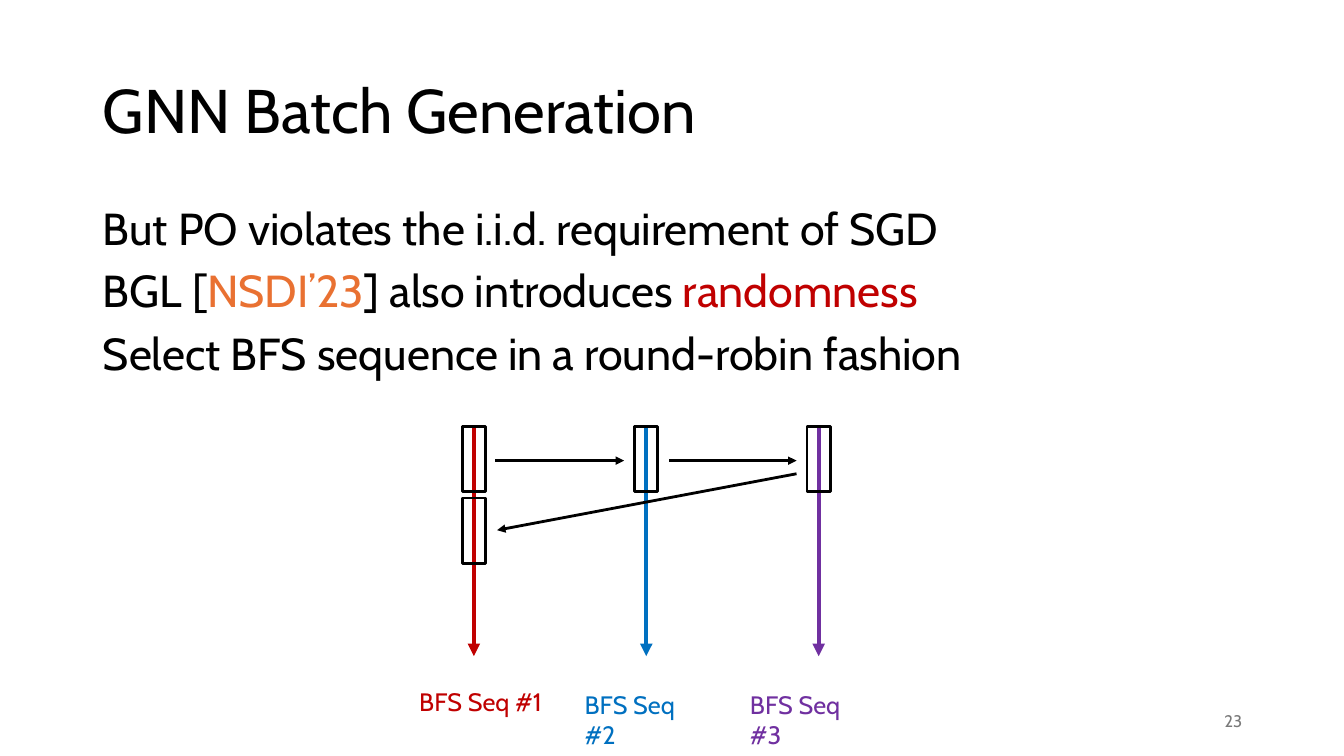
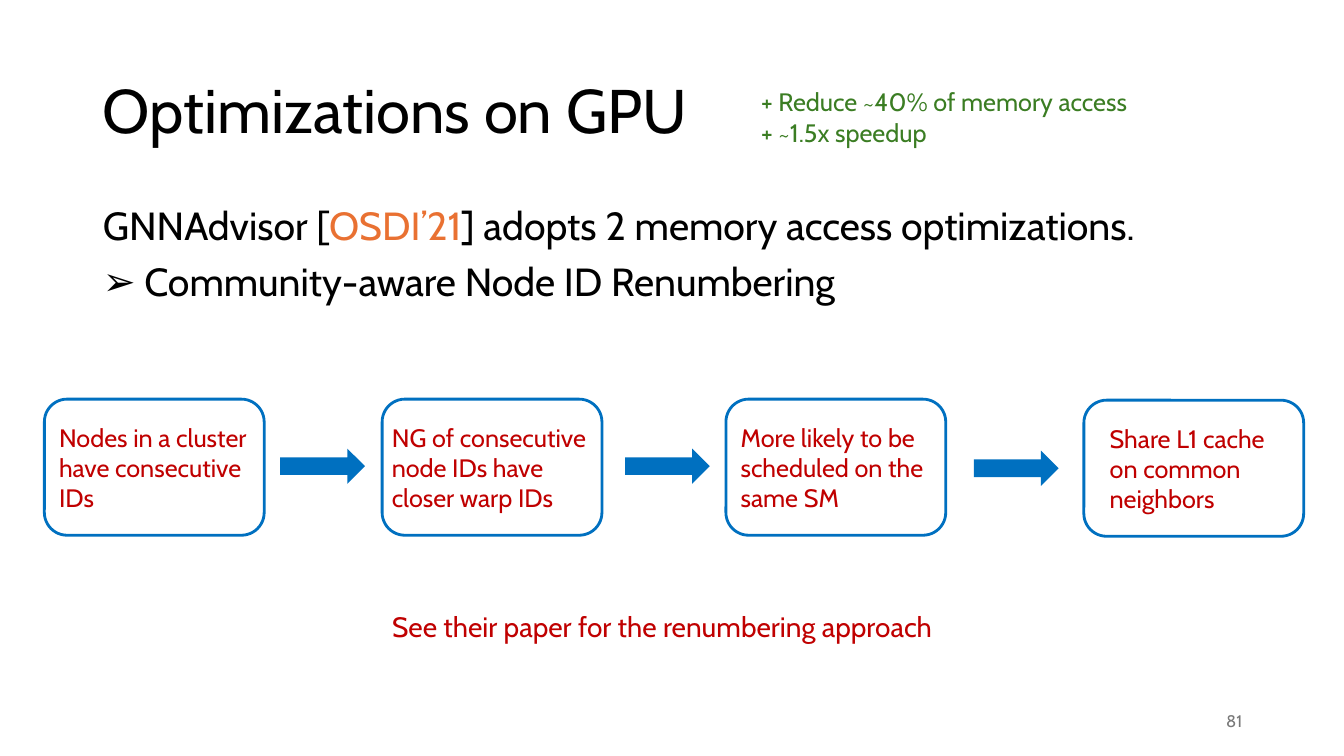
"""Two slides on GNN batch generation and GPU memory optimizations."""
from dataclasses import dataclass
from typing import Optional

from lxml.etree import SubElement
from pptx import Presentation
from pptx.dml.color import RGBColor
from pptx.enum.shapes import MSO_CONNECTOR, MSO_SHAPE
from pptx.enum.text import MSO_ANCHOR, MSO_AUTO_SIZE, PP_ALIGN
from pptx.oxml.ns import qn
from pptx.util import Inches, Pt


@dataclass(frozen=True)
class Theme:
    font: str = "Cabin"
    black: str = "000000"
    orange: str = "E97132"
    red: str = "C00000"
    blue: str = "0070C0"
    purple: str = "7030A0"
    green: str = "3B7D23"
    grey: str = "797979"
    title: int = 44
    body_large: int = 32
    body: int = 28
    note: int = 20
    label: int = 18
    number: int = 12


T = Theme()


@dataclass(frozen=True)
class Span:
    text: str
    color: str = T.black


@dataclass(frozen=True)
class Line:
    spans: tuple[Span, ...]
    bullet: Optional[str] = None


@dataclass(frozen=True)
class Sequence:
    name: str
    x: float
    color: str
    label_x: float
    label_y: float
    label_w: float


@dataclass(frozen=True)
class Step:
    text: str
    x: float
    y: float
    pad: float


SEQUENCES = (
    Sequence("BFS Seq #1", 4.7, T.red, 4.06, 6.76, 1.6),
    Sequence("BFS Seq #2", 6.41, T.blue, 5.7, 6.79, 1.3),
    Sequence("BFS Seq #3", 8.12, T.purple, 7.34, 6.79, 1.3),
)
STEPS = (
    Step("Nodes in a cluster have consecutive IDs", 0.44, 3.96, 0.08),
    Step("NG of consecutive node IDs have closer warp IDs", 3.79, 3.96, 0.03),
    Step("More likely to be\nscheduled on the\nsame SM", 7.2, 3.96, 0.08),
    Step("Share L1 cache\non common neighbors", 10.75, 3.97, 0.19),
)
STEP_ARROWS = ((2.78, 4.45), (6.2, 4.45), (9.66, 4.47))
FRAME_W, FRAME_H, FRAME_TOP, NEXT_TOP = 0.23, 0.65, 4.23, 4.94
STEP_W, STEP_H = 2.18, 1.35


def style_font(font, size: int, color: str) -> None:
    """Apply the theme font with a size and colour."""
    font.name = T.font
    font.size = Pt(size)
    font.color.rgb = RGBColor.from_string(color)


def write(tf, text: str, size: int, color: str) -> None:
    """Set left-aligned, wrapped text in one style."""
    tf.text = text
    tf.word_wrap = True
    for p in tf.paragraphs:
        p.alignment = PP_ALIGN.LEFT
        for r in p.runs:
            style_font(r.font, size, color)


def place(sp, x: float, y: float, w: float, h: float) -> None:
    """Move and size a shape."""
    sp.left, sp.top, sp.width, sp.height = map(Inches, (x, y, w, h))


def add_text(s, x: float, y: float, w: float, h: float, text: str, size: int, color: str):
    """Add a text box and return its frame."""
    tf = s.shapes.add_textbox(*map(Inches, (x, y, w, h))).text_frame
    write(tf, text, size, color)
    return tf


def add_box(s, kind, x: float, y: float, w: float, h: float,
            line: Optional[str] = None, fill: Optional[str] = None):
    """Add a flat preset shape with an optional outline and fill."""
    sp = s.shapes.add_shape(kind, *map(Inches, (x, y, w, h)))
    sp.shadow.inherit = False
    if fill:
        sp.fill.solid()
        sp.fill.fore_color.rgb = RGBColor.from_string(fill)
    else:
        sp.fill.background()
    if line:
        sp.line.color.rgb = RGBColor.from_string(line)
        sp.line.width = Pt(2)
    else:
        sp.line.fill.background()
    return sp


def add_arrow(s, x1: float, y1: float, x2: float, y2: float, color: str, width: float):
    """Add a straight connector with a triangular head."""
    cx = s.shapes.add_connector(MSO_CONNECTOR.STRAIGHT, *map(Inches, (x1, y1, x2, y2)))
    cx.line.color.rgb = RGBColor.from_string(color)
    cx.line.width = Pt(width)
    SubElement(cx.line._get_or_add_ln(), qn("a:tailEnd"), type="triangle")
    SubElement(cx._element.spPr, qn("a:effectLst"))
    return cx


def fill_body(tf, lines: tuple[Line, ...], size: int) -> None:
    """Write the body lines with their coloured spans and bullets."""
    tf.auto_size = MSO_AUTO_SIZE.NONE
    for i, line in enumerate(lines):
        p = tf.paragraphs[0] if i == 0 else tf.add_paragraph()
        pPr = p._p.get_or_add_pPr()
        indent = Inches(0.25) if line.bullet else 0
        pPr.set("marL", str(indent))
        pPr.set("indent", str(-indent))
        if line.bullet:
            SubElement(pPr, qn("a:buChar"), char=line.bullet)
        else:
            SubElement(pPr, qn("a:buNone"))
        p.line_spacing = 0.9
        p.space_before = Pt(10 if i else 0)
        for span in line.spans:
            r = p.add_run()
            r.text = span.text
            style_font(r.font, size, span.color)


def add_slide(prs, title: str, lines: tuple[Line, ...], size: int, body_h: float, number: int):
    """Add a slide with title, body and page number."""
    s = prs.slides.add_slide(prs.slide_layouts[1])
    heading, body = s.shapes.title, s.placeholders[1]
    place(heading, 0.92, 0.4, 11.5, 1.45)
    write(heading.text_frame, title, T.title, T.black)
    heading.text_frame.vertical_anchor = MSO_ANCHOR.MIDDLE
    heading.text_frame.paragraphs[0].line_spacing = 0.9
    place(body, 0.92, 2, 11.5, body_h)
    fill_body(body.text_frame, lines, size)
    tf = add_text(s, 9.42, 6.95, 3, 0.4, str(number), T.number, T.grey)
    tf.vertical_anchor = MSO_ANCHOR.MIDDLE
    tf.paragraphs[0].alignment = PP_ALIGN.RIGHT
    return s


def add_frame(s, x: float, y: float):
    """Add a batch frame centred on a sequence."""
    return add_box(s, MSO_SHAPE.RECTANGLE, x - FRAME_W / 2, y, FRAME_W, FRAME_H, T.black)


def batch_slide(prs) -> None:
    """Build the round-robin batch generation slide."""
    lines = (
        Line((Span("But PO violates the i.i.d. requirement of SGD"),)),
        Line((Span("BGL ["), Span("NSDI’23", T.orange), Span("] also introduces "),
              Span("randomness", T.red))),
        Line((Span("Select BFS sequence in a round-robin fashion"),)),
    )
    s = add_slide(prs, "GNN Batch Generation", lines, T.body_large, 4.76, 23)
    for seq in SEQUENCES:
        cx = add_arrow(s, seq.x, FRAME_TOP, seq.x, 6.51, seq.color, 3)
        cx.begin_connect(add_frame(s, seq.x, FRAME_TOP), 0)
        add_text(s, seq.label_x, seq.label_y, seq.label_w, 0.4, seq.name, T.label, seq.color)
    add_frame(s, SEQUENCES[0].x, NEXT_TOP)
    for ends in ((4.91, 4.57, 6.19, 4.57), (6.64, 4.57, 7.9, 4.57), (7.9, 4.7, 4.93, 5.26)):
        add_arrow(s, *ends, T.black, 2)


def gpu_slide(prs) -> None:
    """Build the GPU memory optimization slide."""
    lines = (
        Line((Span("GNNAdvisor ["), Span("OSDI’21", T.orange),
              Span("] adopts 2 memory access optimizations."))),
        Line((Span(" Community-aware Node ID Renumbering"),), "➢"),
    )
    s = add_slide(prs, "Optimizations on GPU", lines, T.body, 1.32, 81)
    for step in STEPS:
        sp = add_box(s, MSO_SHAPE.ROUNDED_RECTANGLE, step.x, step.y, STEP_W, STEP_H, T.blue)
        tf = sp.text_frame
        write(tf, step.text, T.label, T.red)
        tf.vertical_anchor = MSO_ANCHOR.MIDDLE
        tf.margin_left, tf.margin_right = Inches(step.pad), 0
    for x, y in STEP_ARROWS:
        add_box(s, MSO_SHAPE.RIGHT_ARROW, x, y, 0.84, 0.35, fill=T.blue)
    add_text(s, 7.45, 0.81, 3.94, 0.71, "+ Reduce ~40% of memory access\n+ ~1.5x speedup",
             T.label, T.green)
    add_text(s, 3.79, 6, 5.78, 0.44, "See their paper for the renumbering approach",
             T.note, T.red)


def main() -> None:
    """Build and save the presentation."""
    prs = Presentation()
    prs.slide_width, prs.slide_height = Inches(13.33), Inches(7.5)
    batch_slide(prs)
    gpu_slide(prs)
    prs.save("out.pptx")


if __name__ == "__main__":
    main()
